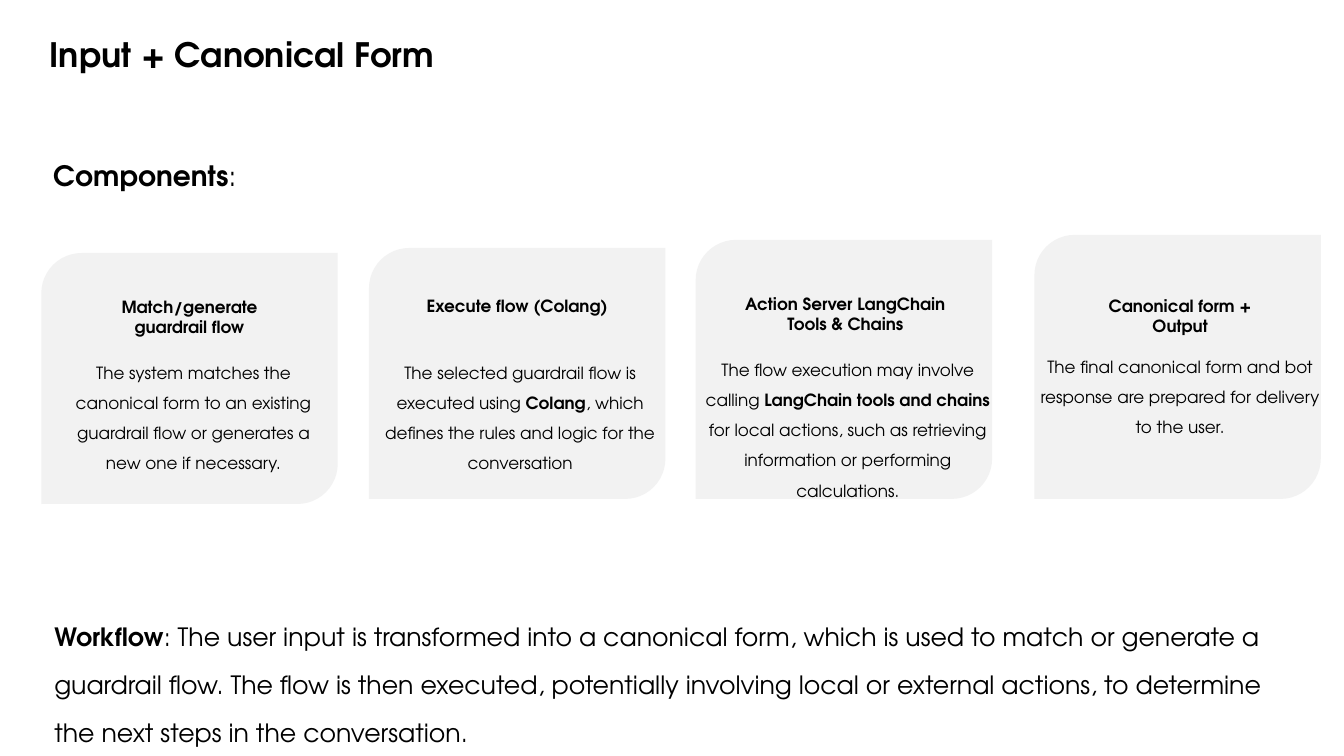
"""Build the slide on guardrail components and their workflow."""
import pptx
import pptx.util
import pptx.dml.color
import pptx.enum.shapes
import pptx.enum.text

PX = 9144
FONT = "TeX Gyre Adventor"
ALIGN = pptx.enum.text.PP_ALIGN
ANCHOR = pptx.enum.text.MSO_ANCHOR


def color(code):
    return pptx.dml.color.RGBColor.from_string(code)


def write(text, box, size=12, align=ALIGN.LEFT, anchor=ANCHOR.TOP,
          space=1.0, inset=(10, 5), shape=None):
    """Write text at box; parts between asterisks are bold."""
    left, top, width, height = [n * PX for n in box]
    shape = shape or slide.shapes.add_textbox(left, top, width, height)
    shape.left, shape.top, shape.width, shape.height = left, top, width, height
    frame = shape.text_frame
    frame.word_wrap = True
    frame.auto_size = pptx.enum.text.MSO_AUTO_SIZE.NONE
    frame.vertical_anchor = anchor
    frame.margin_left = frame.margin_right = inset[0] * PX
    frame.margin_top = frame.margin_bottom = inset[1] * PX
    para = frame.paragraphs[0]
    para.alignment = align
    para.line_spacing = space
    for spot, part in enumerate(text.split("*")):
        if part:
            run = para.add_run()
            run.text = part
            run.font.name = FONT
            run.font.size = pptx.util.Pt(size)
            run.font.bold = spot % 2 == 1
            run.font.color.rgb = color("000000")


deck = pptx.Presentation()
deck.slide_width = 1333 * PX
deck.slide_height = 750 * PX
slide = deck.slides.add_slide(deck.slide_layouts[5])

write("*Input + Canonical Form*", (39, 25, 1150, 63), size=24,
      anchor=ANCHOR.MIDDLE, space=0.9, shape=slide.shapes.title)
write("*Components*:", (43, 136, 667, 54), size=20, space=1.5)

cards = [
    ((41, 251, 294, 249),
     "Match/generate guardrail flow", (89, 294, 198, 47),
     "The system matches the canonical form to an existing guardrail flow "
     "or generates a new one if necessary.", (60, 351, 264, 117)),
    ((366, 246, 294, 249),
     "Execute flow (Colang)", (414, 293, 198, 47),
     "The selected guardrail flow is executed using *Colang*, which defines "
     "the rules and logic for the conversation", (371, 351, 290, 117)),
    ((690, 238, 294, 257),
     "Action Server LangChain Tools & Chains", (720, 291, 237, 42),
     "The flow execution may involve calling *LangChain tools and chains* "
     "for local actions, such as retrieving information or performing "
     "calculations.", (696, 345, 290, 153)),
    ((1026, 233, 284, 262),
     "Canonical form + Output", (1075, 293, 191, 40),
     "The final canonical form and bot response are prepared for delivery "
     "to the user.", (1031, 341, 279, 95)),
]
for area, head, top, body, low in cards:
    card = slide.shapes.add_shape(
        pptx.enum.shapes.MSO_SHAPE.ROUND_2_DIAG_RECTANGLE,
        *[n * PX for n in area])
    card.adjustments[0] = 40 / min(area[2:])
    card.shadow.inherit = False
    card.fill.solid()
    card.fill.fore_color.rgb = color("F2F2F2")
    card.line.fill.background()
    write(body, low, align=ALIGN.CENTER, anchor=ANCHOR.MIDDLE,
          space=1.5, inset=(0, 0))
    write(f"*{head}*", top, align=ALIGN.CENTER, inset=(0, 0))

write("*Workflow*: The user input is transformed into a canonical form, which "
      "is used to match or generate a guardrail flow. The flow is then "
      "executed, potentially involving local or external actions, to "
      "determine the next steps in the conversation.",
      (44, 593, 1253, 149), size=18, space=1.6)

deck.save("out.pptx")
